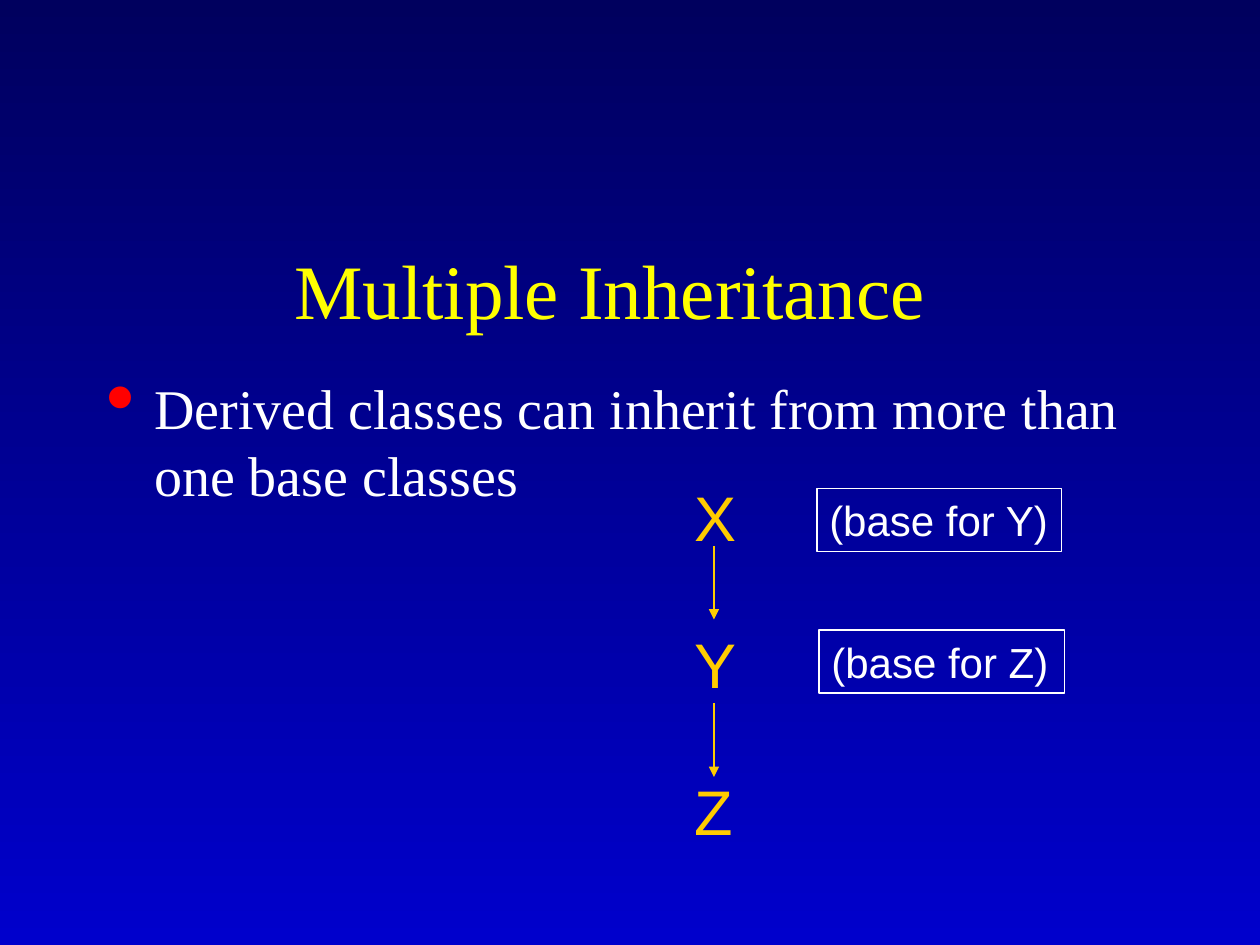
from dataclasses import dataclass

from lxml.etree import SubElement
from pptx import Presentation
from pptx.dml.color import RGBColor
from pptx.enum.shapes import MSO_CONNECTOR, MSO_SHAPE
from pptx.enum.text import MSO_ANCHOR, MSO_AUTO_SIZE, PP_ALIGN
from pptx.oxml.ns import qn
from pptx.util import Pt


@dataclass(frozen=True)
class Theme:
    bg_top: str = "00005E"
    bg_bottom: str = "0000CC"
    title: str = "FFFF00"
    text: str = "FFFFFF"
    bullet: str = "FF0000"
    accent: str = "FFCC00"
    serif: str = "Times New Roman"
    sans: str = "Arial"
    title_size: int = 44
    body_size: int = 32
    class_size: int = 36
    note_size: int = 24
    line_width: float = 0.75


THEME = Theme()


def rgb(color):
    return RGBColor.from_string(color)


def set_background(s):
    fill = s.background.fill
    fill.gradient()
    fill.gradient_angle = 270
    for stop, color in zip(fill.gradient_stops, (THEME.bg_top, THEME.bg_bottom)):
        stop.color.rgb = rgb(color)


def set_text(sp, text, font, size, color, align=PP_ALIGN.LEFT, wrap=True):
    tf = sp.text_frame
    tf.text = text
    tf.word_wrap = wrap
    p = tf.paragraphs[0]
    p.alignment = align
    r = p.runs[0]
    r.font.name = font
    r.font.size = Pt(size)
    r.font.color.rgb = rgb(color)
    return tf


def add_text(s, box, text, *style, **options):
    sp = s.shapes.add_textbox(*map(Pt, box))
    return set_text(sp, text, *style, **options)


def add_bullet(p, indent):
    pPr = p._p.get_or_add_pPr()
    pPr.set("marL", str(Pt(indent)))
    pPr.set("indent", str(-Pt(indent)))
    color = SubElement(pPr, qn("a:buClr"))
    SubElement(color, qn("a:srgbClr"), val=THEME.bullet)
    SubElement(pPr, qn("a:buSzPct"), val="150000")
    SubElement(pPr, qn("a:buChar"), char="•")


def add_class(s, name, y):
    tf = add_text(s, (390, y, 39, 50.4), name, THEME.sans, THEME.class_size,
                  THEME.accent, wrap=False)
    tf.auto_size = MSO_AUTO_SIZE.SHAPE_TO_FIT_TEXT


def add_arrow(s, x, y, length):
    c = s.shapes.add_connector(MSO_CONNECTOR.STRAIGHT,
                               Pt(x), Pt(y), Pt(x), Pt(y + length))
    c.line.color.rgb = rgb(THEME.accent)
    c.line.width = Pt(THEME.line_width)
    SubElement(c.line._get_or_add_ln(), qn("a:tailEnd"), type="triangle")
    SubElement(c._element.spPr, qn("a:effectLst"))


def add_note(s, box, text):
    sp = s.shapes.add_shape(MSO_SHAPE.RECTANGLE, *map(Pt, box))
    sp.shadow.inherit = False
    sp.fill.background()
    sp.line.color.rgb = rgb(THEME.text)
    sp.line.width = Pt(THEME.line_width)
    tf = set_text(sp, text, THEME.sans, THEME.note_size, THEME.text)
    tf.vertical_anchor = MSO_ANCHOR.TOP


def main():
    prs = Presentation()
    prs.slide_width, prs.slide_height = Pt(720), Pt(540)
    s = prs.slides.add_slide(prs.slide_layouts[6])
    set_background(s)

    tf = add_text(s, (48, 120, 612, 90), "Multiple Inheritance ", THEME.serif,
                  THEME.title_size, THEME.title, align=PP_ALIGN.CENTER)
    tf.vertical_anchor = MSO_ANCHOR.MIDDLE

    tf = add_text(s, (54, 210, 612, 90),
                  "Derived classes can inherit from more than one base classes",
                  THEME.serif, THEME.body_size, THEME.text)
    add_bullet(tf.paragraphs[0], 27)

    for i, name in enumerate("XYZ"):
        add_class(s, name, 270 + 84 * i)
    for y in (312, 402):
        add_arrow(s, 408, y, 42)
    add_note(s, (466.8, 279, 139.8, 36), "(base for Y)")
    add_note(s, (468, 360, 140.4, 36), "(base for Z)")

    prs.save("out.pptx")


if __name__ == "__main__":
    main()
